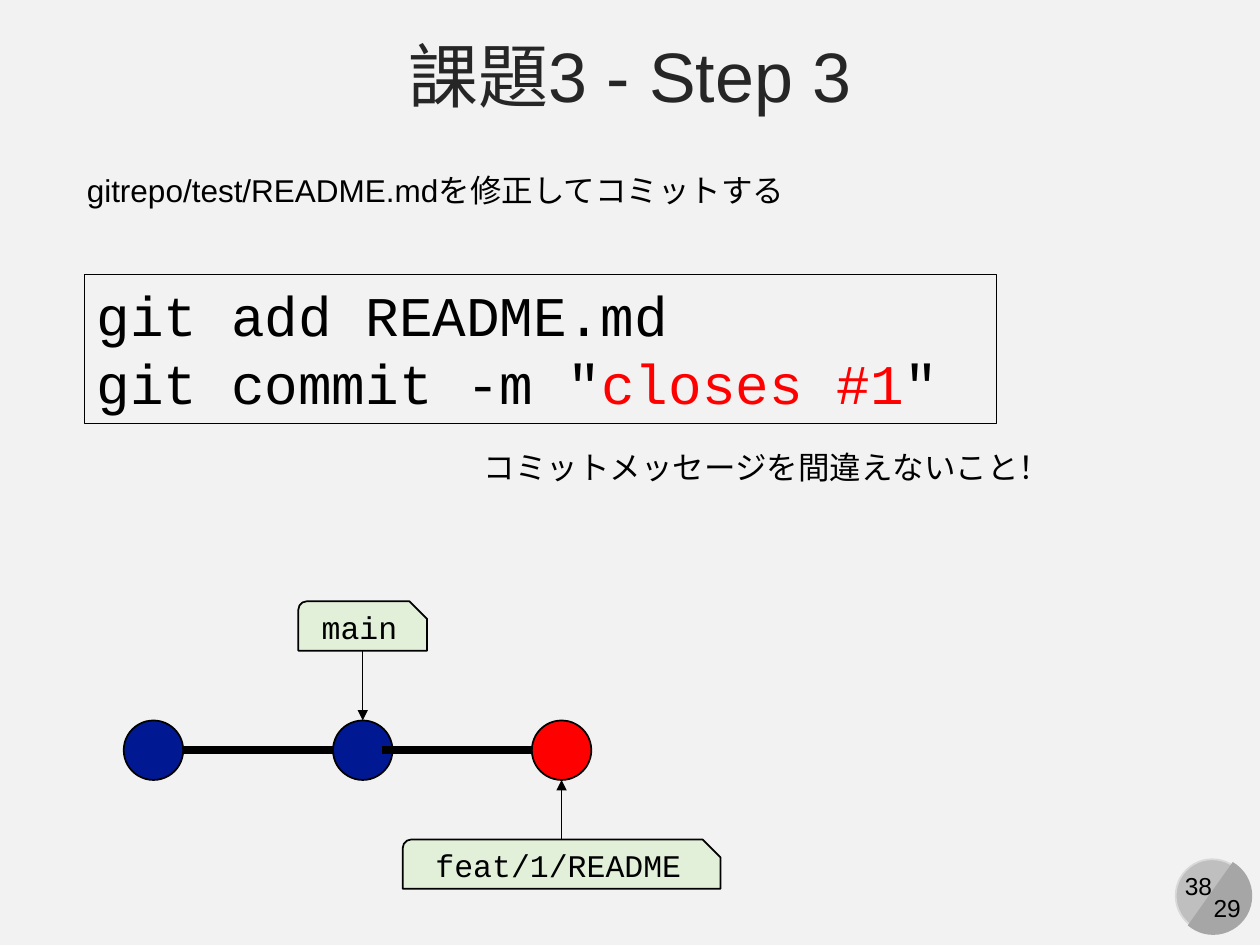
"""Build a slide on a Git exercise: commands above a commit graph with branch tags."""
from lxml.etree import SubElement
from pptx import Presentation
from pptx.dml.color import RGBColor
from pptx.enum.shapes import MSO_CONNECTOR, MSO_SHAPE
from pptx.enum.text import MSO_ANCHOR, MSO_AUTO_SIZE, PP_ALIGN
from pptx.oxml.ns import qn
from pptx.util import Pt

COLORS = {
    "background": "F2F2F2",
    "title": "262626",
    "black": "000000",
    "red": "FF0000",
    "commit": "011893",
    "tag": "E2F0D9",
    "badge": "BFBFBF",
    "badge_line": "D9D9D9",
    "badge_half": "A6A6A6",
}
SANS, MONO = "Arial", "Courier New"
COMMIT_SIZE, COMMIT_Y = 34, 428.7
TAG_HEIGHT, HISTORY_LENGTH = 28.2, 85.5


def color(name):
    return RGBColor.from_string(COLORS[name])


def write(frame, lines, size=18, font=SANS, ink="black", align=PP_ALIGN.LEFT,
          anchor=MSO_ANCHOR.TOP, wrap=True):
    frame.word_wrap = wrap
    frame.auto_size = MSO_AUTO_SIZE.NONE
    frame.vertical_anchor = anchor
    for index, line in enumerate(lines):
        paragraph = frame.add_paragraph() if index else frame.paragraphs[0]
        paragraph.alignment = align
        for part in line if isinstance(line, list) else [(line, ink)]:
            run = paragraph.add_run()
            run.text = part[0]
            run.font.size = Pt(size)
            run.font.name = font
            run.font.color.rgb = color(part[1])


class SlideBuilder:
    def __init__(self, presentation):
        self.slide = presentation.slides.add_slide(presentation.slide_layouts[5])
        self.slide.background.fill.solid()
        self.slide.background.fill.fore_color.rgb = color("background")

    def title(self, text, left, top, width, height):
        title = self.slide.shapes.title
        title.left, title.top, title.width, title.height = map(Pt, (left, top, width, height))
        write(title.text_frame, [text], size=40, ink="title", align=PP_ALIGN.CENTER)
        title.text_frame.paragraphs[0].space_before = Pt(10)

    def text(self, text, left, top, width, height, **style):
        box = self.slide.shapes.add_textbox(*map(Pt, (left, top, width, height)))
        write(box.text_frame, [text], wrap=False, **style)

    def shape(self, kind, left, top, width, height, fill=None, line="black", weight=1):
        shape = self.slide.shapes.add_shape(kind, *map(Pt, (left, top, width, height)))
        shape.shadow.inherit = False
        if fill:
            shape.fill.solid()
            shape.fill.fore_color.rgb = color(fill)
        else:
            shape.fill.background()
        if line:
            shape.line.color.rgb = color(line)
            shape.line.width = Pt(weight)
        else:
            shape.line.fill.background()
        return shape

    def line(self, start, end, weight, arrow=False):
        line = self.slide.shapes.add_connector(MSO_CONNECTOR.STRAIGHT, *map(Pt, (*start, *end)))
        line.line.color.rgb = color("black")
        line.line.width = Pt(weight)
        if arrow:
            SubElement(line.line._get_or_add_ln(), qn("a:tailEnd"), type="triangle")
        SubElement(line._element.spPr, qn("a:effectLst"))

    def commit(self, center, fill):
        self.shape(MSO_SHAPE.OVAL, center - COMMIT_SIZE / 2, COMMIT_Y - COMMIT_SIZE / 2,
                   COMMIT_SIZE, COMMIT_SIZE, fill)

    def history(self, child):
        end = child - COMMIT_SIZE / 2
        self.line((end - HISTORY_LENGTH, COMMIT_Y), (end, COMMIT_Y), 4.5)

    def tag(self, name, center, top, width):
        tag = self.shape(MSO_SHAPE.SNIP_ROUND_RECTANGLE, center - width / 2, top,
                         width, TAG_HEIGHT, "tag")
        tag.adjustments[0], tag.adjustments[1] = 0.17, 0.36
        write(tag.text_frame, [name], font=MONO, align=PP_ALIGN.CENTER,
              anchor=MSO_ANCHOR.MIDDLE)
        above = top < COMMIT_Y
        start = top + TAG_HEIGHT if above else top
        end = COMMIT_Y + COMMIT_SIZE / 2 * (-1 if above else 1)
        self.line((center, start), (center, end), 0.5, arrow=True)

    def code(self, lines, left, top, width, height):
        box = self.shape(MSO_SHAPE.RECTANGLE, left, top, width, height, weight=0.75)
        write(box.text_frame, lines, size=32, font=MONO)

    def page_badge(self, page, total):
        self.shape(MSO_SHAPE.OVAL, 671.8, 491, 41.8, 41.8, "badge", "badge_line")
        self.text(total, 669, 494, 31.7, 24.5, size=14, align=PP_ALIGN.CENTER)
        half = self.shape(MSO_SHAPE.CHORD, 671, 489.6, 44.6, 44.6, "badge_half", None)
        half.adjustments[0], half.adjustments[1] = 27, 141.42
        half.rotation = 255
        self.text(page, 686.2, 506.9, 30.2, 24.5, size=14, align=PP_ALIGN.CENTER)


def main():
    presentation = Presentation()
    presentation.slide_width, presentation.slide_height = Pt(720), Pt(540)
    builder = SlideBuilder(presentation)
    builder.page_badge("29", "38")
    builder.title("課題3 - Step 3", 0, 15, 720, 59)
    builder.text("gitrepo/test/README.mdを修正してコミットする", 42.5, 94.3, 411, 29)
    builder.code(["git add README.md",
                  [('git commit -m "', "black"), ("closes #1", "red"), ('"', "black")]],
                 48.2, 157, 521.3, 85)
    builder.text("コミットメッセージを間違えないこと！", 269.3, 252.7, 342, 29)

    first, main_head, feature_head = 87.7, 207.3, 320.9
    for center, fill in ((first, "commit"), (main_head, "commit"), (feature_head, "red")):
        builder.commit(center, fill)
    for child in (main_head, feature_head):
        builder.history(child)
    builder.tag("main", main_head, 343.6, 73.6)
    builder.tag("feat/1/README", feature_head, 479.7, 181.5)
    presentation.save("out.pptx")


if __name__ == "__main__":
    main()
